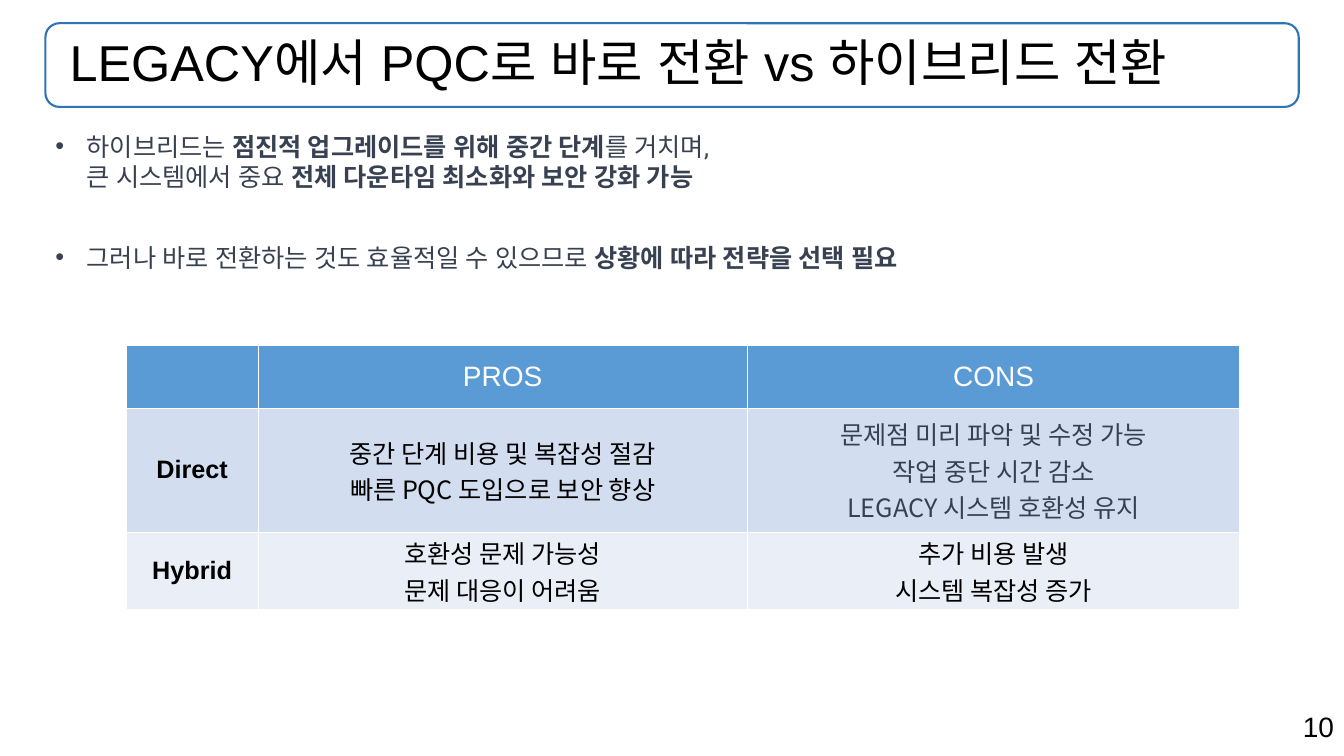
from lxml import etree
from pptx import Presentation
from pptx import util as u
from pptx.dml import color
from pptx.enum import shapes, text
from pptx.oxml import ns

KOREAN = "Noto Sans CJK KR"
BLACK, WHITE, SLATE = "000000", "FFFFFF", "374151"


def rgb(value):
    return color.RGBColor.from_string(value)


class SlideBuilder:
    """Draws styled elements on one slide, with lengths in percent of its size."""

    def __init__(self, presentation):
        self.presentation = presentation
        self.slide = presentation.slides.add_slide(presentation.slide_layouts[6])

    def across(self, share):
        return u.Emu(round(self.presentation.slide_width * share / 100))

    def down(self, share):
        return u.Emu(round(self.presentation.slide_height * share / 100))

    def place(self, left, top, width, height):
        return self.across(left), self.down(top), self.across(width), self.down(height)

    def style_run(self, run, size, name, ink, bold=False):
        run.font.size = u.Pt(size)
        run.font.name = name
        run.font.bold = bold
        run.font.color.rgb = rgb(ink)
        east_asian = etree.SubElement(run.font._element, ns.qn("a:ea"))
        east_asian.set("typeface", name)

    def panel(self, box, line):
        shape = self.slide.shapes.add_shape(
            shapes.MSO_SHAPE.ROUNDED_RECTANGLE, *self.place(*box))
        shape.shadow.inherit = False
        shape.fill.background()
        shape.line.color.rgb = rgb(line)
        shape.line.width = u.Pt(1.5)

    def label(self, box, words, size, align, inset=0.75):
        shape = self.slide.shapes.add_textbox(*self.place(*box))
        frame = shape.text_frame
        frame.word_wrap = True
        frame.margin_left = self.across(inset)
        frame.vertical_anchor = text.MSO_ANCHOR.MIDDLE
        frame.text = words
        paragraph = frame.paragraphs[0]
        paragraph.alignment = align
        paragraph.line_spacing = 0.9
        self.style_run(paragraph.runs[0], size, "Arial", BLACK)

    def bullet(self, box, lines):
        shape = self.slide.shapes.add_shape(
            shapes.MSO_SHAPE.RECTANGLE, *self.place(*box))
        shape.shadow.inherit = False
        shape.fill.solid()
        shape.fill.fore_color.rgb = rgb(WHITE)
        shape.line.fill.background()
        shape.text_frame.word_wrap = True
        shape.text_frame.vertical_anchor = text.MSO_ANCHOR.TOP
        paragraph = shape.text_frame.paragraphs[0]
        paragraph.alignment = text.PP_ALIGN.LEFT
        properties = paragraph._p.get_or_add_pPr()
        indent = self.across(2.34)
        properties.set("marL", str(indent))
        properties.set("indent", str(-indent))
        etree.SubElement(properties, ns.qn("a:buFont")).set("typeface", "Arial")
        etree.SubElement(properties, ns.qn("a:buChar")).set("char", "•")
        for number, line in enumerate(lines):
            if number:
                paragraph.add_line_break()
            for words, bold in line:
                run = paragraph.add_run()
                run.text = words
                self.style_run(run, 18, "Roboto", SLATE, bold)

    def cell(self, cell, words, fill, size, name, ink, bold):
        cell.margin_top = cell.margin_bottom = self.down(0.25)
        cell.vertical_anchor = text.MSO_ANCHOR.MIDDLE
        cell.text_frame.text = words
        for paragraph in cell.text_frame.paragraphs:
            paragraph.alignment = text.PP_ALIGN.CENTER
            for run in paragraph.runs:
                self.style_run(run, size, name, ink, bold)
        properties = cell._tc.get_or_add_tcPr()
        for side in "LRTB":
            border = etree.SubElement(properties, ns.qn(f"a:ln{side}"), w=str(u.Pt(1)))
            paint = etree.SubElement(border, ns.qn("a:solidFill"))
            etree.SubElement(paint, ns.qn("a:srgbClr"), val=WHITE)
        cell.fill.solid()
        cell.fill.fore_color.rgb = rgb(fill)

    def table(self, left, top, widths, heights, rows, fills):
        box = self.place(left, top, sum(widths), sum(heights))
        table = self.slide.shapes.add_table(len(rows), len(widths), *box).table
        for column, width in zip(table.columns, widths):
            column.width = self.across(width)
        for row, height in zip(table.rows, heights):
            row.height = self.down(height)
        for r, (row, fill) in enumerate(zip(rows, fills)):
            for c, words in enumerate(row):
                if r == 0:
                    style = (20, "Arial", WHITE, False)
                elif c == 0:
                    style = (18, "Arial", BLACK, True)
                else:
                    style = (18, KOREAN, SLATE if (r, c) == (1, 2) else BLACK, False)
                self.cell(table.cell(r, c), words, fill, *style)


def main():
    presentation = Presentation()
    presentation.slide_width = u.Inches(13.33)
    presentation.slide_height = u.Inches(7.5)
    builder = SlideBuilder(presentation)
    left = 3.38
    title_box = (left, 3.07, 93.25, 11.07)

    builder.label((70.74, 93.47, 29.26, 5.87), "10", 20, text.PP_ALIGN.RIGHT)
    builder.panel(title_box, "2E75B6")
    builder.label(title_box, "LEGACY에서 PQC로 바로 전환 vs 하이브리드 전환",
                  36, text.PP_ALIGN.LEFT, inset=1.8)
    builder.bullet((left, 16.67, 92.2, 9.47), [
        [("하이브리드는 ", False), ("점진적 업그레이드를 위해 중간 단계", True),
         ("를 거치며,", False)],
        [("큰 시스템에서 중요 ", False),
         ("전체 다운타임 최소화와 보안 강화 가능", True)],
    ])
    builder.bullet((left, 31.33, 94.45, 5.33), [
        [("그러나 바로 전환하는 것도 효율적일 수 있으므로 ", False),
         ("상황에 따라 전략을 선택 필요", True)],
    ])
    builder.table(
        9.38, 45.73, [9.83, 36.38, 36.68], [8.27, 16.4, 10.27],
        [["", "PROS", "CONS"],
         ["Direct",
          "중간 단계 비용 및 복잡성 절감\n빠른 PQC 도입으로 보안 향상",
          "문제점 미리 파악 및 수정 가능\n작업 중단 시간 감소\nLEGACY 시스템 호환성 유지"],
         ["Hybrid",
          "호환성 문제 가능성\n문제 대응이 어려움",
          "추가 비용 발생\n시스템 복잡성 증가"]],
        ["5B9BD5", "D2DEEF", "EAEFF7"])
    presentation.save("out.pptx")


if __name__ == "__main__":
    main()
